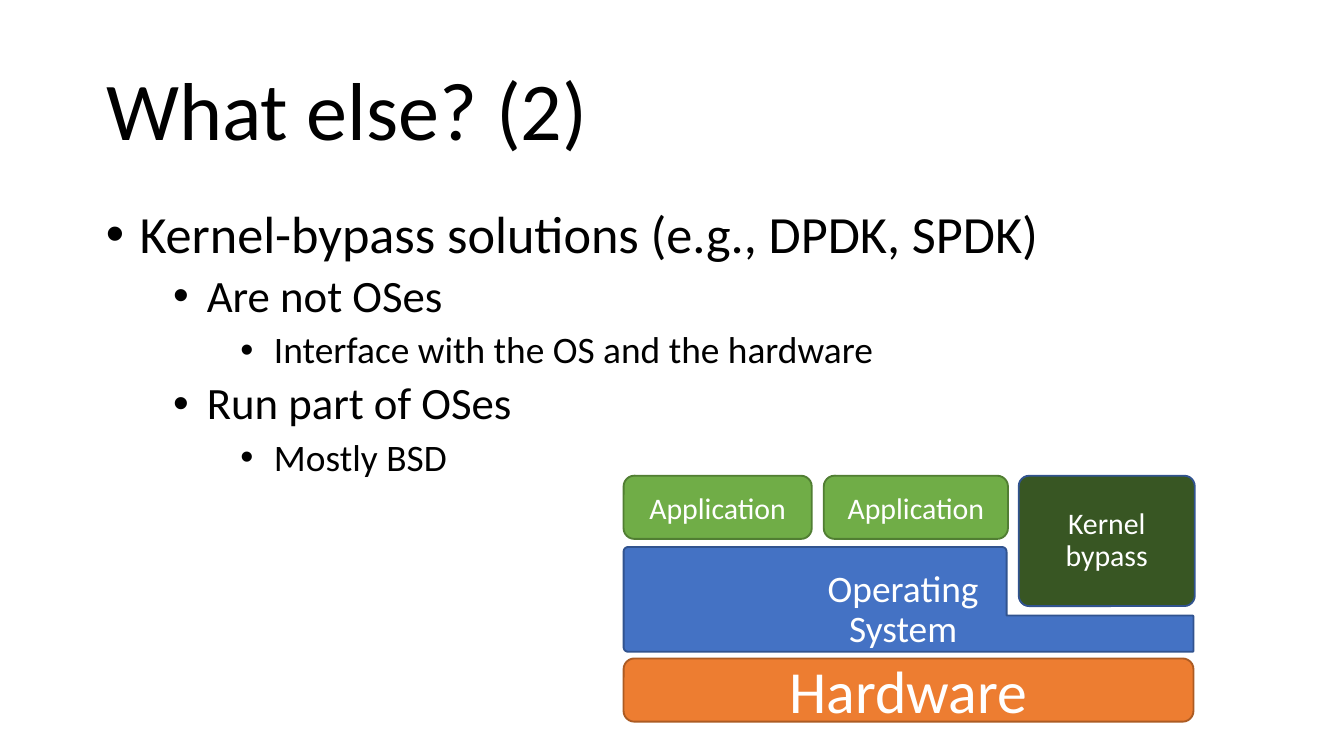
from math import hypot

from lxml.etree import SubElement
from pptx import Presentation
from pptx.dml.color import RGBColor
from pptx.enum.shapes import MSO_SHAPE
from pptx.enum.text import MSO_ANCHOR, MSO_AUTO_SIZE, PP_ALIGN
from pptx.oxml.ns import qn
from pptx.util import Inches, Pt

FONT = "Calibri"
BLACK, WHITE = "000000", "FFFFFF"
GREEN, GREEN_EDGE = "70AD47", "517E33"
ORANGE, ORANGE_EDGE = "ED7D31", "AC5B23"
BLUE, BLUE_EDGE = "4472C4", "31538F"
DARK_GREEN = "385623"
BULLET_SIZES = [28, 24, 20]
POINTS = [
    (0, "Kernel-bypass solutions (e.g., DPDK, SPDK)"),
    (1, "Are not OSes"),
    (2, "Interface with the OS and the hardware"),
    (1, "Run part of OSes"),
    (2, "Mostly BSD"),
]


def rgb(colour):
    return RGBColor.from_string(colour)


def write(paragraph, text, size, colour=BLACK, align=PP_ALIGN.LEFT, spacing=1.0):
    paragraph.alignment = align
    paragraph.line_spacing = spacing
    run = paragraph.add_run()
    run.text = text
    run.font.name = FONT
    run.font.size = Pt(size)
    run.font.color.rgb = rgb(colour)


def add_bullet(paragraph, level):
    properties = paragraph._p.get_or_add_pPr()
    properties.set("marL", str(Inches(0.25 + 0.5 * level)))
    properties.set("indent", str(Inches(-0.25)))
    colour = SubElement(properties, qn("a:buClr"))
    SubElement(colour, qn("a:srgbClr"), val=BLACK)
    SubElement(properties, qn("a:buFont"), typeface="Arial")
    SubElement(properties, qn("a:buChar"), char="•")


def paint(shape, fill, edge):
    shape.shadow.inherit = False
    shape.fill.solid()
    shape.fill.fore_color.rgb = rgb(fill)
    shape.line.color.rgb = rgb(edge)
    shape.line.width = Pt(1)


def add_title(slide, left, top, width, height):
    title = slide.shapes.title
    title.left, title.top = Inches(left), Inches(top)
    title.width, title.height = Inches(width), Inches(height)
    frame = title.text_frame
    frame.auto_size = MSO_AUTO_SIZE.NONE
    frame.vertical_anchor = MSO_ANCHOR.MIDDLE
    write(frame.paragraphs[0], "What else? (2)", size=44, spacing=0.9)


def add_text_box(slide, left, top, width, height):
    box = slide.shapes.add_textbox(
        Inches(left), Inches(top), Inches(width), Inches(height))
    box.text_frame.word_wrap = True
    return box.text_frame


def add_points(slide, left, top, width, height):
    frame = add_text_box(slide, left, top, width, height)
    for index, (level, text) in enumerate(POINTS):
        paragraph = frame.paragraphs[0] if index == 0 else frame.add_paragraph()
        paragraph.level = level
        add_bullet(paragraph, level)
        if index:
            paragraph.space_before = Pt(5)
        write(paragraph, text, size=BULLET_SIZES[level], spacing=0.9)


def add_block(slide, left, top, width, height, text, size, fill, edge,
              rounding=0.17, spacing=1.0):
    block = slide.shapes.add_shape(
        MSO_SHAPE.ROUNDED_RECTANGLE,
        Inches(left), Inches(top), Inches(width), Inches(height))
    block.adjustments[0] = rounding
    paint(block, fill, edge)
    frame = block.text_frame
    frame.word_wrap = True
    frame.vertical_anchor = MSO_ANCHOR.MIDDLE
    write(frame.paragraphs[0], text, size=size, colour=WHITE,
          align=PP_ALIGN.CENTER, spacing=spacing)


def rounded_corners(corners, steps=6):
    """Turn (x, y, radius) corners into outline points, each corner a short curve."""
    outline = []
    for i, (x, y, radius) in enumerate(corners):
        if not radius:
            outline.append((x, y))
            continue
        ends = []
        for near_x, near_y, _ in (corners[i - 1], corners[(i + 1) % len(corners)]):
            share = radius / hypot(near_x - x, near_y - y)
            ends.append((x + (near_x - x) * share, y + (near_y - y) * share))
        (x0, y0), (x1, y1) = ends
        for step in range(steps + 1):
            t = step / steps
            a, b, c = (1 - t) ** 2, 2 * t * (1 - t), t ** 2
            outline.append((a * x0 + b * x + c * x1, a * y0 + b * y + c * y1))
    return outline


def add_operating_system(slide, left, top, width, height):
    step_x, step_y = left + 2.85, top + 0.51
    right, bottom = left + width, top + height
    outline = rounded_corners([
        (left, top, 0.04), (step_x, top, 0.04), (step_x, step_y, 0),
        (right, step_y, 0.01), (right, bottom, 0.01), (left, bottom, 0.04)])
    start, *rest = [(Inches(x), Inches(y)) for x, y in outline]
    builder = slide.shapes.build_freeform(*start)
    builder.add_line_segments(rest, close=True)
    paint(builder.convert_to_shape(), BLUE, BLUE_EDGE)


def add_system_label(slide, left, top, width, height):
    frame = add_text_box(slide, left, top, width, height)
    for paragraph, word in ((frame.paragraphs[0], "Operating"),
                            (frame.add_paragraph(), "System")):
        write(paragraph, word, size=20, colour=WHITE,
              align=PP_ALIGN.CENTER, spacing=0.89)


def add_stack(slide, left, top, width, height):
    row = 0.47
    add_block(slide, left, top, 1.4, row, "Application", 16, GREEN, GREEN_EDGE)
    add_block(slide, left, top + height - row, width, row,
              "Hardware", 32, ORANGE, ORANGE_EDGE)
    add_block(slide, left + 1.49, top, 1.37, row,
              "Application", 16, GREEN, GREEN_EDGE)
    add_operating_system(slide, left, top + 0.53, width, 0.78)
    add_block(slide, left + 2.94, top, 1.31, 0.97, "Kernel bypass", 16,
              DARK_GREEN, BLUE_EDGE, rounding=0.08, spacing=0.89)
    add_system_label(slide, left + 1.41, top + 0.66, 1.34, 0.52)


def main():
    deck = Presentation()
    deck.slide_width = Inches(10)
    deck.slide_height = deck.slide_width * 9 // 16
    slide = deck.slides.add_slide(deck.slide_layouts[5])
    add_title(slide, 0.69, 0.3, 8.62, 1.09)
    add_points(slide, 0.69, 1.5, 8.62, 3.57)
    add_stack(slide, 4.64, 3.54, 4.24, 1.83)
    deck.save("out.pptx")


if __name__ == "__main__":
    main()
